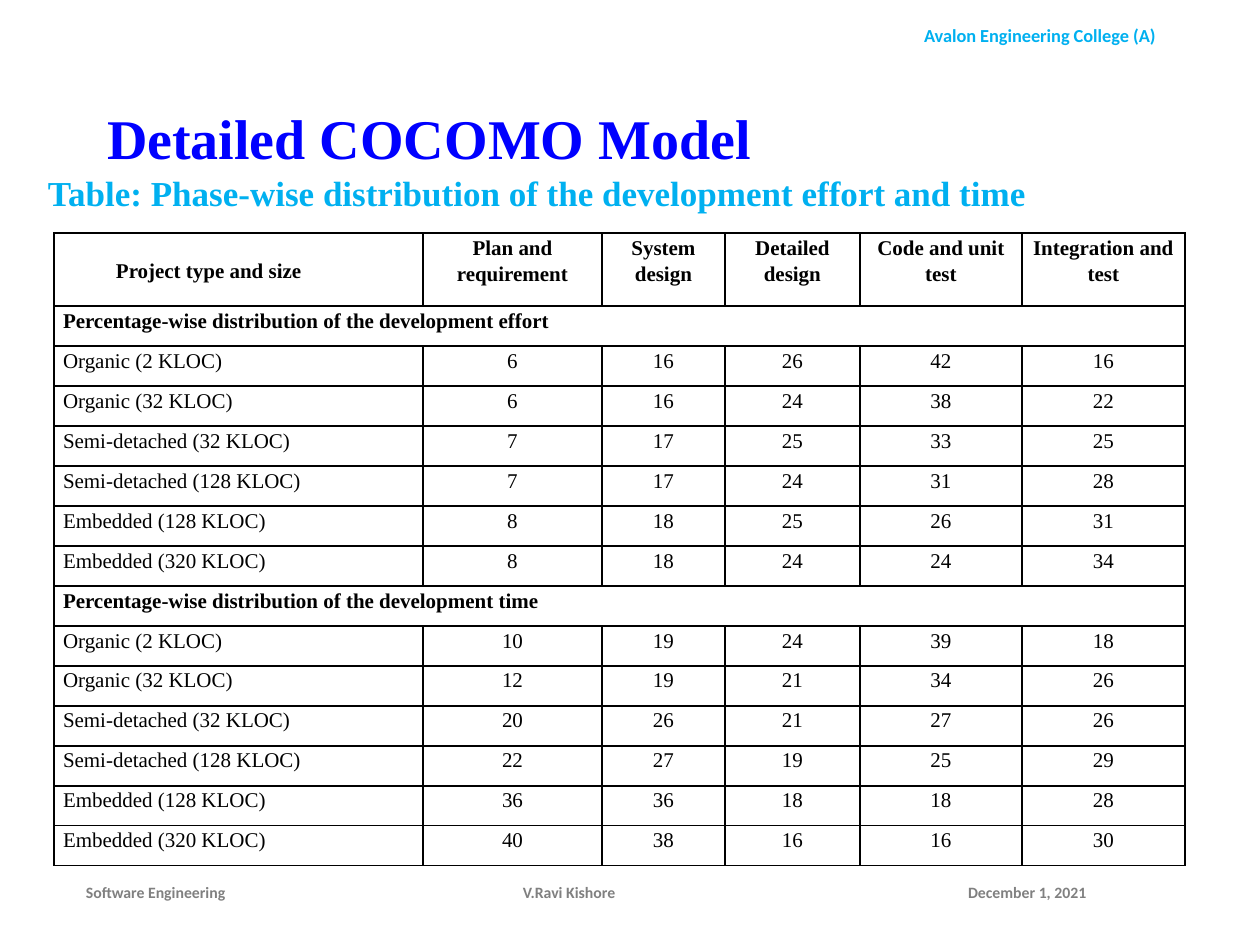
from pptx import Presentation
from pptx.dml.color import RGBColor
from pptx.enum.text import MSO_ANCHOR as Anchor, MSO_AUTO_SIZE as AutoSize, PP_ALIGN as Align
from pptx.oxml import parse_xml
from pptx.oxml.ns import nsdecls
from pptx.util import Pt

EMU_PER_PX = 914400 / 126
SERIF, SANS = "Times New Roman", "Calibri"
BLACK, BLUE, SKY, GRAY = "000000", "0000FF", "00B0F0", "808080"

COLUMN_WIDTHS = [369, 179, 123, 135, 162, 163]
HEADER_HEIGHT, ROW_HEIGHT = 73, 40
HEADERS = ["Project type and size", "Plan and requirement", "System design",
           "Detailed design", "Code and unit test", "Integration and test"]
PROJECTS = ["Organic (2 KLOC)", "Organic (32 KLOC)",
            "Semi-detached (32 KLOC)", "Semi-detached (128 KLOC)",
            "Embedded (128 KLOC)", "Embedded (320 KLOC)"]
SECTIONS = {
    "Percentage-wise distribution of the development effort": [
        (6, 16, 26, 42, 16), (6, 16, 24, 38, 22), (7, 17, 25, 33, 25),
        (7, 17, 24, 31, 28), (8, 18, 25, 26, 31), (8, 18, 24, 24, 34)],
    "Percentage-wise distribution of the development time": [
        (10, 19, 24, 39, 18), (12, 19, 21, 34, 26), (20, 26, 21, 27, 26),
        (22, 27, 19, 25, 29), (36, 36, 18, 18, 28), (40, 38, 16, 16, 30)],
}


def px(length):
    return round(length * EMU_PER_PX)


def color(hex_string):
    return RGBColor.from_string(hex_string)


def write(text_frame, text, size, font, hex_string, bold=True, align=Align.LEFT, spacing=None):
    text_frame.text = text
    paragraph = text_frame.paragraphs[0]
    paragraph.alignment = align
    paragraph.line_spacing = spacing
    for run in paragraph.runs:
        run.font.size = Pt(size)
        run.font.name = font
        run.font.bold = bold
        run.font.color.rgb = color(hex_string)


def add_label(slide, box, text, size, font, hex_string, align=Align.LEFT, inset=13):
    shape = slide.shapes.add_textbox(*map(px, box))
    text_frame = shape.text_frame
    text_frame.word_wrap = True
    text_frame.vertical_anchor = Anchor.MIDDLE
    text_frame.margin_left = text_frame.margin_right = px(inset)
    write(text_frame, text, size, font, hex_string, align=align)


def add_heading(slide, box):
    left, top, width, height = box
    title = slide.shapes.title
    title.left, title.top, title.width, title.height = map(px, box)
    text_frame = title.text_frame
    text_frame.auto_size = AutoSize.NONE
    text_frame.vertical_anchor = Anchor.MIDDLE
    text_frame.margin_left = px(107)
    write(text_frame, "Detailed COCOMO Model", 32, SERIF, BLUE, spacing=0.9)
    add_label(slide, (left + 35, top + 115, width - 5, 55),
              "Table: Phase-wise distribution of the development effort and time",
              20, SERIF, SKY)


def add_borders(cell):
    properties = cell._tc.get_or_add_tcPr()
    for position, side in enumerate(("lnL", "lnR", "lnT", "lnB")):
        properties.insert(position, parse_xml(
            f'<a:{side} {nsdecls("a")} w="12700"><a:solidFill>'
            f'<a:srgbClr val="{BLACK}"/></a:solidFill></a:{side}>'))


def fill_cell(cell, text, bold=False, align=Align.CENTER):
    cell.margin_left = cell.margin_right = px(9)
    cell.margin_top = cell.margin_bottom = 0
    write(cell.text_frame, text, 12, SERIF, BLACK, bold, align, spacing=1.15)


def add_distribution_table(slide, left, top):
    section_size = len(PROJECTS) + 1
    row_count = 1 + section_size * len(SECTIONS)
    height = HEADER_HEIGHT + ROW_HEIGHT * (row_count - 1)
    frame = slide.shapes.add_table(row_count, len(COLUMN_WIDTHS), px(left), px(top),
                                   px(sum(COLUMN_WIDTHS)), px(height))
    table = frame.table
    table.horz_banding = False
    for column, width in zip(table.columns, COLUMN_WIDTHS):
        column.width = px(width)
    for row in table.rows:
        row.height = px(ROW_HEIGHT)
    table.rows[0].height = px(HEADER_HEIGHT)
    for cell in table.iter_cells():
        cell.fill.background()
        add_borders(cell)

    # Header row, with its first label indented and centred vertically
    for column, header in enumerate(HEADERS):
        fill_cell(table.cell(0, column), header, True)
    corner = table.cell(0, 0)
    corner.margin_left = px(62)
    corner.vertical_anchor = Anchor.MIDDLE
    corner.text_frame.paragraphs[0].alignment = Align.LEFT

    # Each section: a merged caption row, then one row per project
    for section, (caption, rows) in enumerate(SECTIONS.items()):
        first = 1 + section * section_size
        table.cell(first, 0).merge(table.cell(first, len(COLUMN_WIDTHS) - 1))
        fill_cell(table.cell(first, 0), caption, True, Align.LEFT)
        for row, (project, values) in enumerate(zip(PROJECTS, rows), first + 1):
            fill_cell(table.cell(row, 0), project, align=Align.LEFT)
            for column, value in enumerate(values, 1):
                fill_cell(table.cell(row, column), str(value))


def add_footer(slide, top, height):
    add_label(slide, (77, top, 199, height), "Software Engineering", 9, SANS, GRAY, inset=9)
    add_label(slide, (427, top, 284, height), "V.Ravi Kishore", 9, SANS, GRAY, Align.CENTER)
    add_label(slide, (955, top, 218, height), "December 1, 2021", 9, SANS, GRAY)


def main():
    presentation = Presentation()
    presentation.slide_width, presentation.slide_height = px(1260), px(945)
    slide = presentation.slides.add_slide(presentation.slide_layouts[5])
    add_label(slide, (859, 18, 362, 35), "Avalon Engineering College (A)",
              10.5, SANS, SKY, Align.CENTER)
    add_heading(slide, (0, 50, 1086, 183))
    add_distribution_table(slide, 54, 233)
    add_footer(slide, 867, 50)
    presentation.save("out.pptx")


if __name__ == "__main__":
    main()
